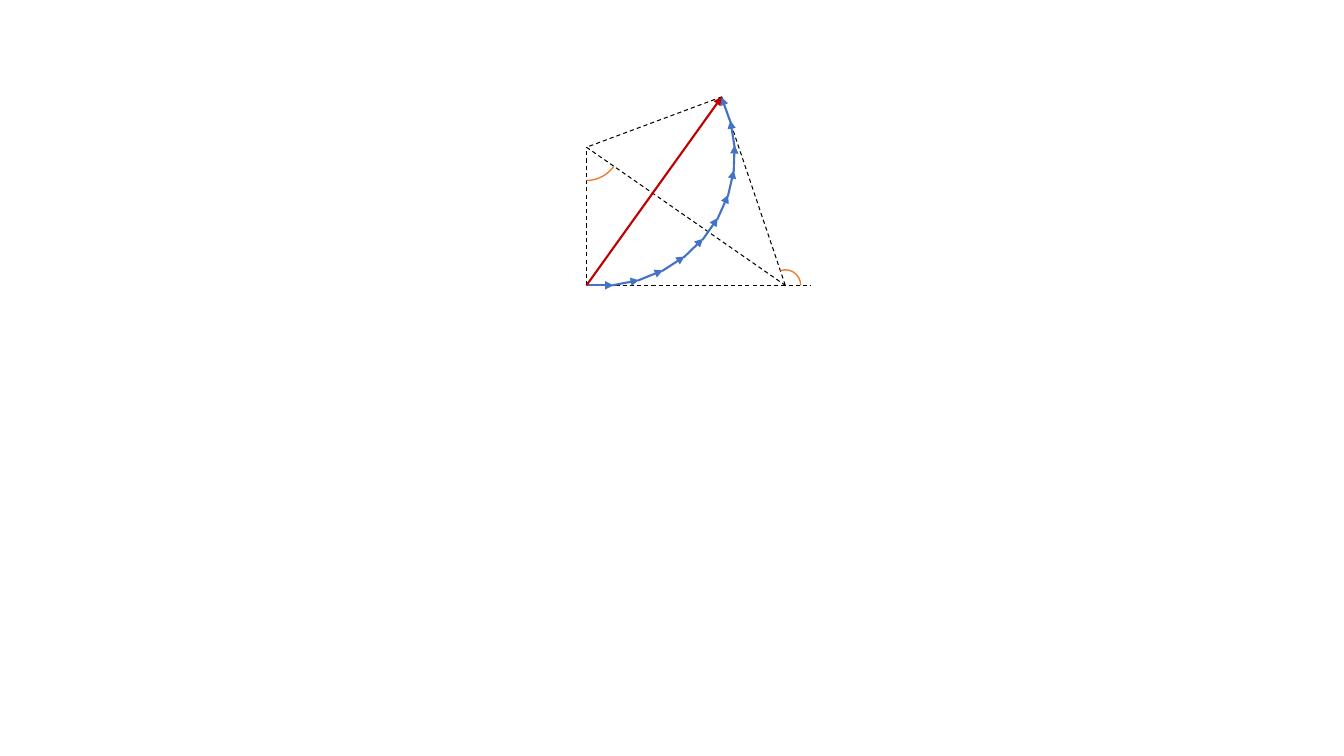
from math import cos, radians, sin

from lxml.etree import SubElement
from pptx import Presentation
from pptx.dml.color import RGBColor
from pptx.enum.dml import MSO_LINE
from pptx.enum.shapes import MSO_CONNECTOR, MSO_SHAPE
from pptx.oxml.ns import qn
from pptx.util import Cm, Pt

# Content: named points (cm), construction lines, phasors and angle marks
COLORS = {"guide": "000000", "phasor": "4472C4", "resultant": "C00000", "angle": "ED7D31"}
POINTS = {
    "origin": (14.78, 7.19),
    "center": (14.78, 3.71),
    "tip": (18.19, 2.44),
    "crossing": (19.79, 7.19),
    "baseline end": (20.45, 7.19),
}
GUIDES = [
    ("origin", "baseline end"),
    ("crossing", "tip"),
    ("origin", "center"),
    ("tip", "center"),
    ("center", "crossing"),
]
PHASOR_COUNT = 11
TURN = 11               # degrees between neighbouring phasors
PHASOR_LENGTH = 0.68    # slightly longer than a step, so phasors overlap
LAST_START = (3.63, 4.11)  # offset of the last phasor's start from the origin
# Angle marks: vertex, radius, start and end in degrees clockwise from the right
OUTER_ANGLE = ("crossing", 0.39, 251.67, 0)
CENTER_ANGLE = ("center", 0.84, 35.39, 89.85)


def add_line(shapes, start, end, color, width, dashed=False, arrow=False):
    connector = shapes.add_connector(
        MSO_CONNECTOR.STRAIGHT, *(Cm(value) for value in (*start, *end)))
    connector.line.color.rgb = RGBColor.from_string(COLORS[color])
    connector.line.width = Pt(width)
    if dashed:
        connector.line.dash_style = MSO_LINE.DASH
    if arrow:
        SubElement(connector.line._get_or_add_ln(), qn("a:tailEnd"), type="triangle")
    SubElement(connector._element.spPr, qn("a:effectLst"))


def add_angle(shapes, vertex, radius, start, end):
    x, y = POINTS[vertex]
    arc = shapes.add_shape(MSO_SHAPE.ARC, Cm(x - radius), Cm(y - radius),
                           Cm(2 * radius), Cm(2 * radius))
    arc.shadow.inherit = False
    arc.fill.background()
    arc.line.color.rgb = RGBColor.from_string(COLORS["angle"])
    arc.line.width = Pt(1)
    # One adjustment unit is 100000 / 60000 degrees
    arc.adjustments[0] = start * 0.6
    arc.adjustments[1] = end * 0.6


def add_phasors(shapes):
    directions = [(cos(radians(TURN * i)), sin(radians(TURN * i)))
                  for i in range(PHASOR_COUNT)]
    step_x = LAST_START[0] / sum(dx for dx, dy in directions[:-1])
    step_y = LAST_START[1] / sum(dy for dx, dy in directions[:-1])
    x, y = POINTS["origin"]
    for dx, dy in directions:
        end = (x + PHASOR_LENGTH * dx, y - PHASOR_LENGTH * dy)
        add_line(shapes, (x, y), end, "phasor", 1.5, arrow=True)
        x, y = x + step_x * dx, y - step_y * dy


def main():
    presentation = Presentation()
    presentation.slide_width, presentation.slide_height = Cm(33.87), Cm(19.05)
    slide = presentation.slides.add_slide(presentation.slide_layouts[6])

    # Dashed construction lines and the outer angle
    for start, end in GUIDES:
        add_line(slide.shapes, POINTS[start], POINTS[end], "guide", 0.75, dashed=True)
    add_angle(slide.shapes, *OUTER_ANGLE)

    # Chain of phasors, its resultant and the angle at the center
    add_phasors(slide.shapes.add_group_shape().shapes)
    add_line(slide.shapes, POINTS["origin"], POINTS["tip"], "resultant", 1.5, arrow=True)
    add_angle(slide.shapes, *CENTER_ANGLE)

    presentation.save("out.pptx")


if __name__ == "__main__":
    main()
